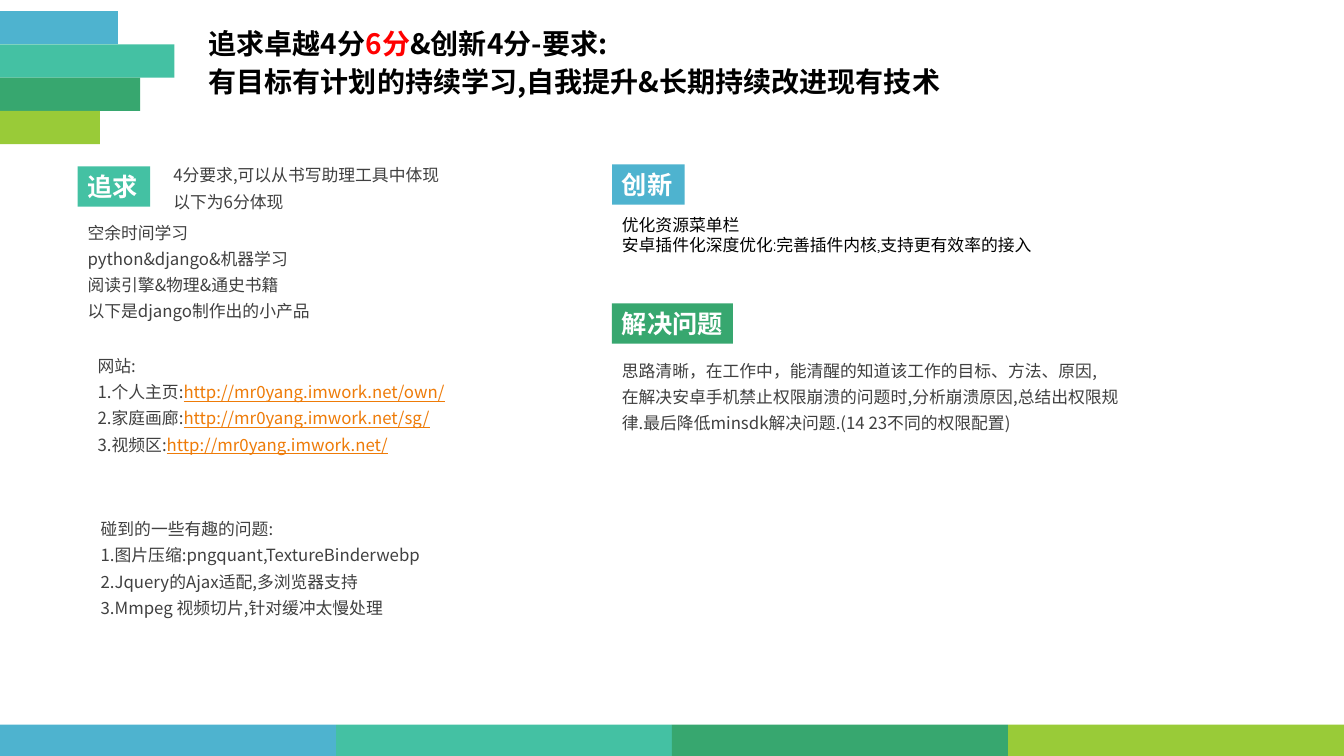
from dataclasses import dataclass

from pptx import Presentation
from pptx.dml.color import RGBColor
from pptx.enum.shapes import MSO_SHAPE
from pptx.enum.text import MSO_ANCHOR, MSO_AUTO_SIZE, PP_ALIGN
from pptx.oxml.ns import qn
from pptx.slide import Slide
from pptx.text.text import TextFrame
from pptx.util import Inches, Pt

BLUE = RGBColor(0x4E, 0xB3, 0xCF)
TEAL = RGBColor(0x44, 0xC1, 0xA3)
GREEN = RGBColor(0x37, 0xA7, 0x6F)
LIME = RGBColor(0x99, 0xCB, 0x38)
BLACK = RGBColor(0, 0, 0)
WHITE = RGBColor(0xFF, 0xFF, 0xFF)
RED = RGBColor(0xFF, 0, 0)
GRAY = RGBColor(0x40, 0x40, 0x40)
ORANGE = RGBColor(0xEE, 0x7B, 0x08)

NOTO = "Noto Sans CJK SC"
QUICKSAND = "Quicksand"
SLIDE_WIDTH, SLIDE_HEIGHT = 13.33, 7.5
STRIPE_HEIGHT = 0.33
STRIPE_TOP = 0.11
FOOTER_TOP = 7.19
LABEL_HEIGHT = 0.4

# Text formats
TITLE = {"name": NOTO, "size": Pt(20), "bold": True, "color": BLACK}
LABEL = {"name": QUICKSAND, "size": Pt(18), "bold": True, "color": WHITE}
BODY = {"name": NOTO, "size": Pt(12), "color": GRAY}
PLAIN = {"name": QUICKSAND, "size": Pt(12), "color": BLACK}
LINK = {"color": ORANGE, "underline": True}

# A line is a list of (text, format changes) runs
Line = list[tuple[str, dict]]


@dataclass(frozen=True)
class Label:
    text: str
    left: float
    top: float
    width: float
    color: RGBColor


@dataclass(frozen=True)
class TextBlock:
    left: float
    top: float
    width: float
    height: float
    lines: list[Line]
    style: dict
    line_spacing: float = 1.3


def plain_lines(*texts: str) -> list[Line]:
    return [[(text, {})] for text in texts]


STRIPES = [(1.17, BLUE), (1.73, TEAL), (1.39, GREEN), (0.99, LIME)]

TITLE_LINES = [
    [("追求卓越4分", {}), ("6分", {"color": RED}), ("&创新4分-要求:", {})],
    [("有目标有计划的持续学习,自我提升&长期持续改进现有技术", {})],
]

LABELS = [
    Label("创新", 6.07, 1.63, 0.72, BLUE),
    Label("追求", 0.77, 1.65, 0.72, TEAL),
    Label("解决问题", 6.07, 3.01, 1.2, GREEN),
]

TEXT_BLOCKS = [
    TextBlock(6.07, 2.08, 6.03, 0.5, plain_lines(
        "优化资源菜单栏",
        "安卓插件化深度优化:完善插件内核,支持更有效率的接入",
    ), PLAIN, 1.0),
    TextBlock(0.77, 2.1, 3.35, 1.14, plain_lines(
        "空余时间学习",
        "python&django&机器学习",
        "阅读引擎&物理&通史书籍",
        "以下是django制作出的小产品",
    ), BODY),
    TextBlock(0.87, 3.42, 5.47, 1.15, [
        [("网站:", {})],
        [("1.个人主页:", {}), ("http://mr0yang.imwork.net/own/", LINK)],
        [("2.家庭画廊:", {}), ("http://mr0yang.imwork.net/sg/", LINK)],
        [("3.视频区:", {}), ("http://mr0yang.imwork.net/", LINK)],
    ], BODY),
    TextBlock(0.9, 5.04, 5.28, 1.14, plain_lines(
        "碰到的一些有趣的问题:",
        "1.图片压缩:pngquant,TextureBinderwebp",
        "2.Jquery的Ajax适配,多浏览器支持",
        "3.Mmpeg 视频切片,针对缓冲太慢处理",
    ), BODY),
    TextBlock(1.62, 1.53, 3.52, 0.62, plain_lines(
        "4分要求,可以从书写助理工具中体现",
        "以下为6分体现",
    ), BODY),
    TextBlock(6.07, 3.47, 5.22, 0.89, plain_lines(
        "思路清晰，在工作中，能清醒的知道该工作的目标、方法、原因,",
        "在解决安卓手机禁止权限崩溃的问题时,分析崩溃原因,总结出权限规律."
        "最后降低minsdk解决问题.(14 23不同的权限配置)",
    ), BODY),
]


def write_lines(frame: TextFrame, lines: list[Line], style: dict,
                line_spacing: float = 1.0, gap: float = 0) -> None:
    for index, line in enumerate(lines):
        paragraph = frame.paragraphs[0] if index == 0 else frame.add_paragraph()
        paragraph.alignment = PP_ALIGN.LEFT
        paragraph.line_spacing = line_spacing
        paragraph.space_before = Pt(gap if index else 0)
        for text, changes in line:
            run = paragraph.add_run()
            run.text = text
            for name, value in (style | changes).items():
                if name == "color":
                    run.font.color.rgb = value
                else:
                    setattr(run.font, name, value)
            # Chinese characters take the same typeface
            properties = run.font._element
            east_asian = properties.makeelement(qn("a:ea"), {"typeface": style["name"]})
            properties.find(qn("a:latin")).addnext(east_asian)


def add_rectangle(slide: Slide, left: float, top: float, width: float,
                  height: float, color: RGBColor):
    shape = slide.shapes.add_shape(
        MSO_SHAPE.RECTANGLE, Inches(left), Inches(top), Inches(width), Inches(height))
    shape.shadow.inherit = False
    shape.fill.solid()
    shape.fill.fore_color.rgb = color
    shape.line.fill.background()
    return shape


def add_stripes(slide: Slide) -> None:
    footer_width = SLIDE_WIDTH / len(STRIPES)
    for index, (width, color) in enumerate(STRIPES):
        add_rectangle(slide, 0, STRIPE_TOP + index * STRIPE_HEIGHT,
                      width, STRIPE_HEIGHT, color)
        add_rectangle(slide, index * footer_width, FOOTER_TOP,
                      footer_width, STRIPE_HEIGHT, color)


def add_title(slide: Slide) -> None:
    title = slide.shapes.title
    title.left, title.top = Inches(1.97), Inches(0.35)
    title.width, title.height = Inches(11.04), Inches(0.58)
    frame = title.text_frame
    frame.auto_size = MSO_AUTO_SIZE.NONE
    frame.vertical_anchor = MSO_ANCHOR.MIDDLE
    write_lines(frame, TITLE_LINES, TITLE, line_spacing=0.9, gap=6)


def add_label(slide: Slide, label: Label) -> None:
    shape = add_rectangle(slide, label.left, label.top, label.width,
                          LABEL_HEIGHT, label.color)
    shape.text_frame.word_wrap = False
    write_lines(shape.text_frame, plain_lines(label.text), LABEL)


def add_text_block(slide: Slide, block: TextBlock) -> None:
    box = slide.shapes.add_textbox(
        Inches(block.left), Inches(block.top), Inches(block.width), Inches(block.height))
    box.text_frame.word_wrap = True
    write_lines(box.text_frame, block.lines, block.style, block.line_spacing)


def main() -> None:
    presentation = Presentation()
    presentation.slide_width = Inches(SLIDE_WIDTH)
    presentation.slide_height = Inches(SLIDE_HEIGHT)
    slide = presentation.slides.add_slide(presentation.slide_layouts[5])

    # Coloured stripes at the top left and along the bottom
    add_stripes(slide)
    # Heading
    add_title(slide)
    # Section labels and their text
    for label in LABELS:
        add_label(slide, label)
    for block in TEXT_BLOCKS:
        add_text_block(slide, block)

    presentation.save("out.pptx")


if __name__ == "__main__":
    main()
